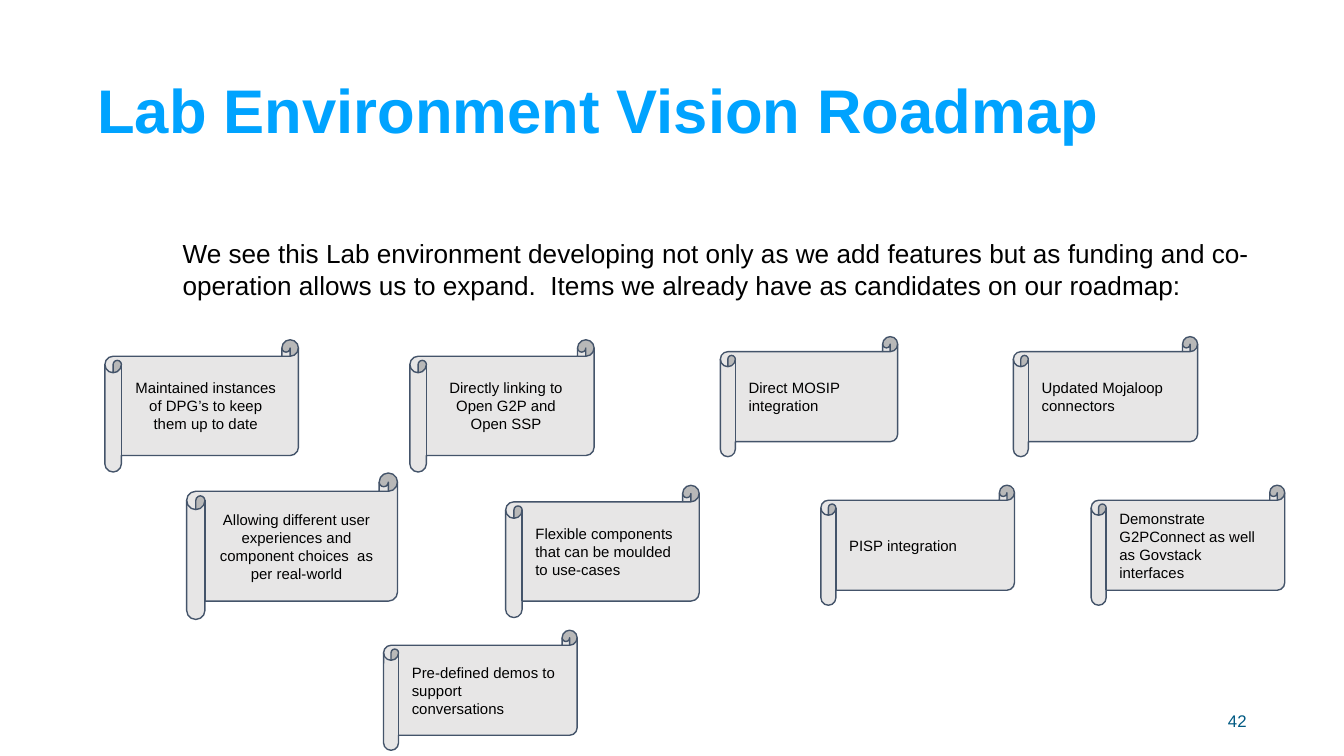
from pptx import Presentation
from pptx.dml.color import RGBColor
from pptx.enum.shapes import MSO_SHAPE
from pptx.enum.text import MSO_ANCHOR as ANCHOR, PP_ALIGN as ALIGN
from pptx.util import Pt

COLORS = {
    "title": "00A3FF",
    "body": "000000",
    "number": "005A83",
    "scroll": "E7E6E6",
    "outline": "44546A",
}
FONT = "Arial"
WIDE_INSETS = (7.2, 7.2)
SLIM_INSETS = (2.7, 1.35)

# Each row: top, then (left, width, height, alignment, text) of its scrolls
ROADMAP = [
    (182, [
        (56.2, 103.7, 70.9, ALIGN.CENTER,
         "Maintained instances of DPG’s to keep them up to date"),
        (219.6, 98.7, 70.9, ALIGN.CENTER,
         "Directly linking to Open G2P and Open SSP"),
    ]),
    (180.4, [
        (385.9, 95, 64.3, ALIGN.LEFT, "Direct MOSIP integration"),
        (542.9, 98.7, 64.3, ALIGN.LEFT, "Updated Mojaloop connectors"),
    ]),
    (253.4, [
        (100, 113, 78.5, ALIGN.CENTER,
         "Allowing different user experiences and component choices  as per real-world"),
    ]),
    (260, [
        (270.9, 103.7, 70.9, ALIGN.LEFT,
         "Flexible components that can be moulded to use-cases"),
        (439.8, 103.7, 64.3, ALIGN.LEFT, "PISP integration"),
        (584.6, 103.7, 64.3, ALIGN.LEFT,
         "Demonstrate G2PConnect as well as Govstack interfaces"),
    ]),
    (337.7, [
        (205.5, 103.7, 64.3, ALIGN.LEFT,
         "Pre-defined demos to support conversations"),
    ]),
]


def rgb(name):
    return RGBColor.from_string(COLORS[name])


def write(sp, text, size, color="body", bold=False, align=ALIGN.LEFT,
          anchor=ANCHOR.MIDDLE, insets=WIDE_INSETS, spacing=1.0):
    side, edge = (Pt(v) for v in insets)
    tf = sp.text_frame
    frame = {"word_wrap": True, "vertical_anchor": anchor,
             "margin_left": side, "margin_right": side,
             "margin_top": edge, "margin_bottom": edge}
    for name, value in frame.items():
        setattr(tf, name, value)
    p = tf.paragraphs[0]
    p.alignment = align
    p.line_spacing = spacing
    r = p.add_run()
    r.text = text
    for name, value in {"name": FONT, "size": Pt(size), "bold": bold}.items():
        setattr(r.font, name, value)
    r.font.color.rgb = rgb(color)


def add_text(slide, box, text, size, **style):
    sp = slide.shapes.add_textbox(*map(Pt, box))
    write(sp, text, size, **style)


def add_scroll(slide, box, text, align):
    sp = slide.shapes.add_shape(MSO_SHAPE.HORIZONTAL_SCROLL, *map(Pt, box))
    sp.shadow.inherit = False
    sp.fill.solid()
    sp.fill.fore_color.rgb = rgb("scroll")
    sp.line.color.rgb = rgb("outline")
    sp.line.width = Pt(0.75)
    write(sp, text, 8, align=align)


def add_roadmap(slide, rows):
    for top, scrolls in rows:
        for left, width, height, align, text in scrolls:
            add_scroll(slide, (left, top, width, height), text, align)


def main():
    prs = Presentation()
    prs.slide_width, prs.slide_height = Pt(720), Pt(405)
    slide = prs.slides.add_slide(prs.slide_layouts[6])
    add_text(slide, (49.5, 21.6, 621, 78.3), "Lab Environment Vision Roadmap", 33,
             color="title", bold=True, insets=SLIM_INSETS, spacing=0.9)
    add_text(slide, (90.7, 120.2, 586.8, 54.7),
             "We see this Lab environment developing not only as we add features "
             "but as funding and co-operation allows us to expand.  Items we "
             "already have as candidates on our roadmap:",
             14, anchor=ANCHOR.TOP)
    add_roadmap(slide, ROADMAP)
    add_text(slide, (508.5, 375.4, 162, 21.6), "42", 9, color="number",
             align=ALIGN.RIGHT, insets=SLIM_INSETS)
    prs.save("out.pptx")


if __name__ == "__main__":
    main()
